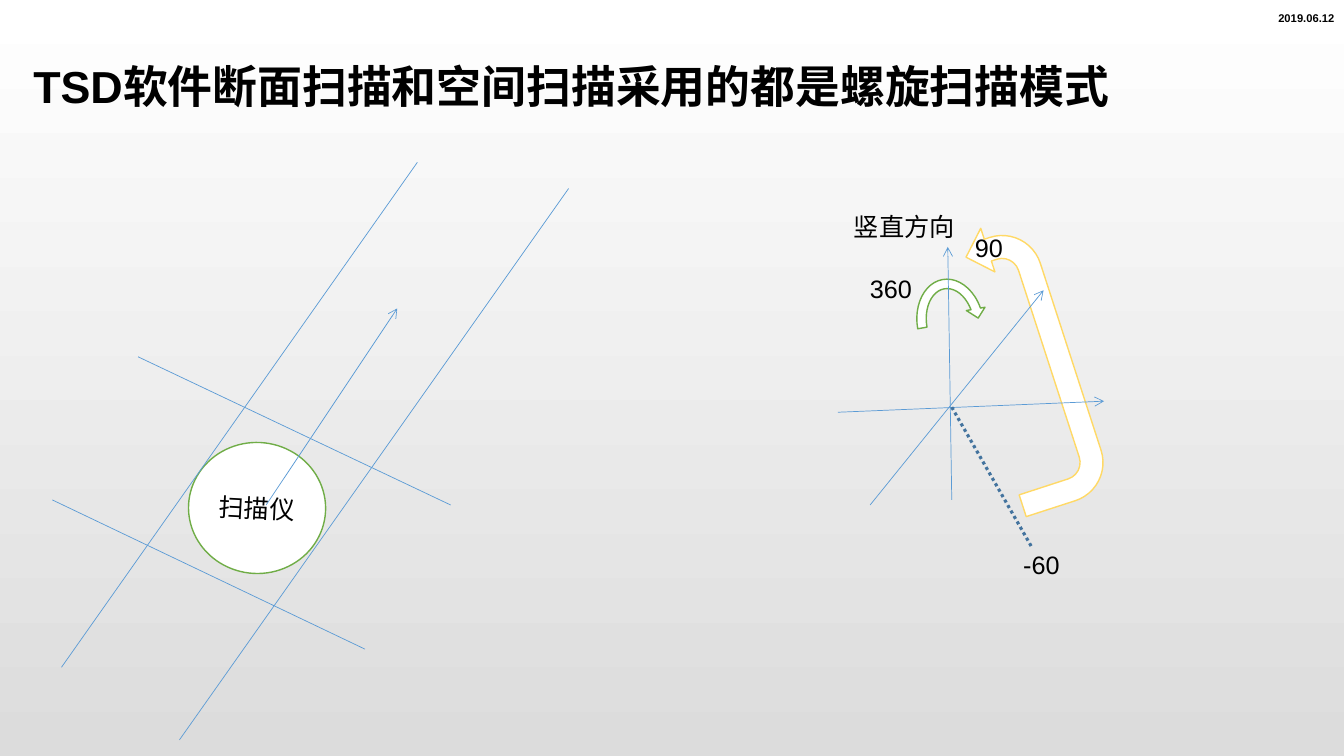
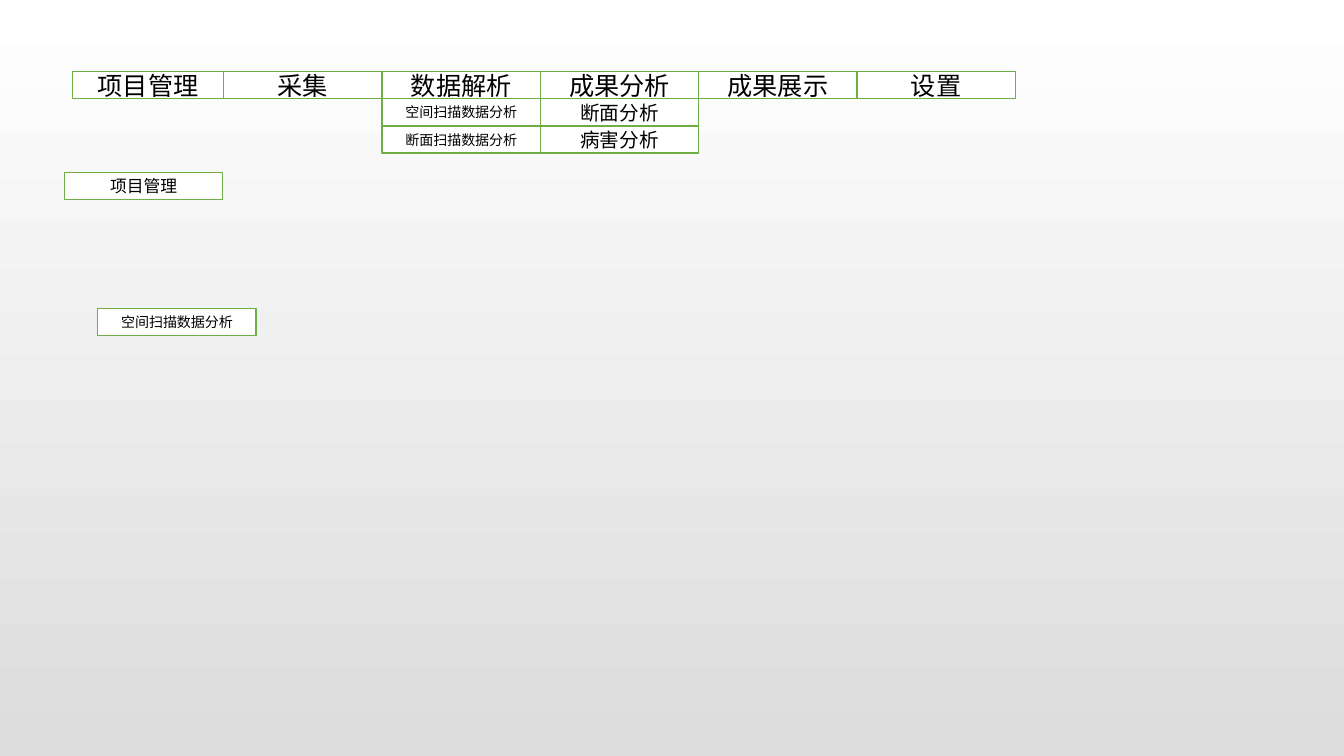
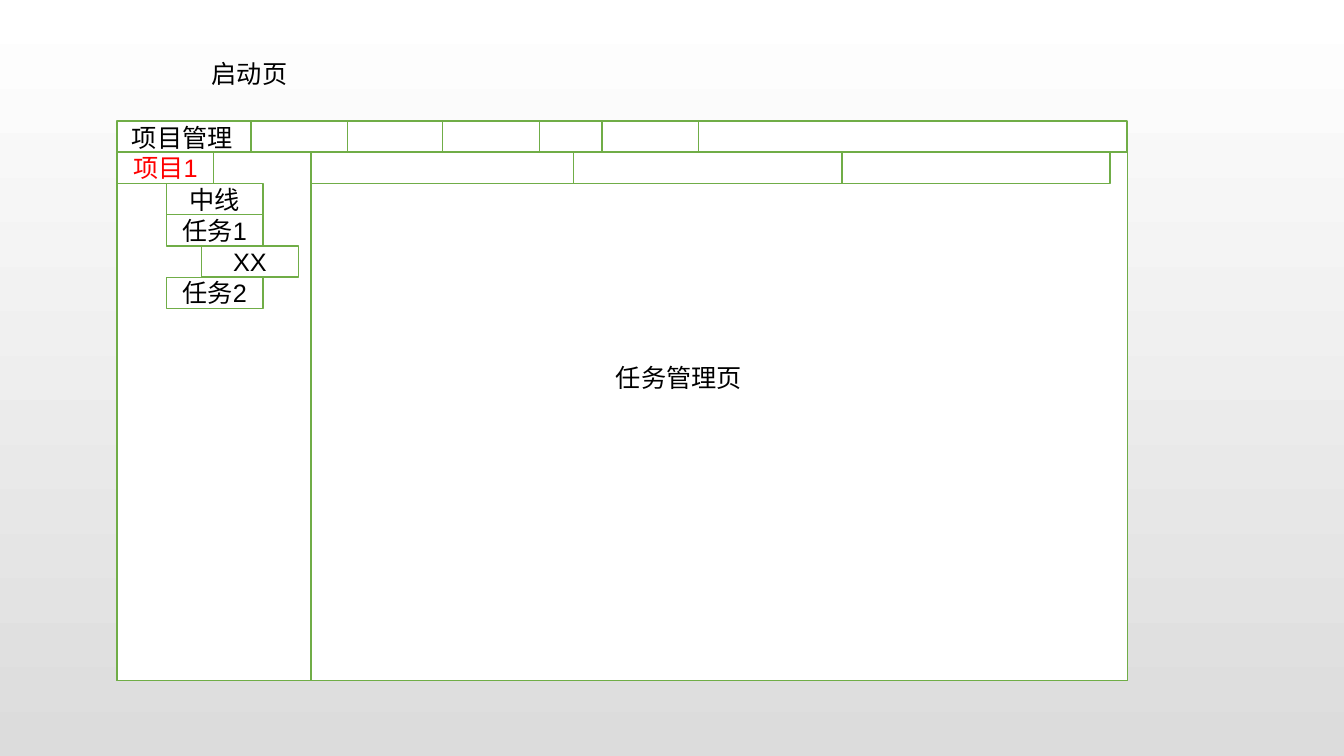
from dataclasses import dataclass

from pptx import Presentation
from pptx.dml.color import RGBColor
from pptx.enum.dml import MSO_LINE
from pptx.enum.shapes import MSO_CONNECTOR, MSO_SHAPE
from pptx.enum.text import MSO_ANCHOR, MSO_AUTO_SIZE, PP_ALIGN
from pptx.oxml.ns import qn
from pptx.util import Inches, Pt
from lxml import etree

RECT = MSO_SHAPE.RECTANGLE
OVAL = MSO_SHAPE.OVAL
UTURN = MSO_SHAPE.U_TURN_ARROW
ARC = MSO_SHAPE.CIRCULAR_ARROW
STRAIGHT = MSO_CONNECTOR.STRAIGHT
DOTS = MSO_LINE.ROUND_DOT
LEFT, CENTER = PP_ALIGN.LEFT, PP_ALIGN.CENTER
TOP, MIDDLE = MSO_ANCHOR.TOP, MSO_ANCHOR.MIDDLE
GROW, FIXED = MSO_AUTO_SIZE.SHAPE_TO_FIT_TEXT, MSO_AUTO_SIZE.NONE
TITLED, BLANK = 5, 6


@dataclass(frozen=True)
class Theme:
    font: str = "Arial"
    ink: str = "000000"
    alert: str = "FF0000"
    fill: str = "FFFFFF"
    shade: str = "DCDCDC"
    edge: str = "70AD47"
    gold: str = "FFD966"
    ray: str = "5B9BD5"
    dark: str = "43739E"
    head: int = 32
    body: int = 18
    item: int = 14
    small: int = 12
    note: int = 10
    date: int = 8


THEME = Theme()


def rgb(code):
    return RGBColor.from_string(code)


def write(frame, text, size=THEME.body, color=THEME.ink, bold=False,
          align=LEFT, anchor=TOP, wrap=True, fit=FIXED):
    frame.word_wrap = wrap
    frame.auto_size = fit
    frame.vertical_anchor = anchor
    para = frame.paragraphs[0]
    para.alignment = align
    run = para.add_run()
    run.text = text
    font = run.font
    font.name = THEME.font
    font.size = Pt(size)
    font.bold = bold
    font.color.rgb = rgb(color)


def title(slide, text, box, **style):
    holder = slide.shapes.title
    holder.left, holder.top, holder.width, holder.height = map(Inches, box)
    write(holder.text_frame, text, **style)


def label(slide, text, box, **style):
    area = slide.shapes.add_textbox(*map(Inches, box))
    write(area.text_frame, text, fit=GROW, **style)


def block(slide, box, text="", kind=RECT, edge=THEME.edge, turn=0, **style):
    """Add a white outlined shape, with centred text if any is given."""
    shape = slide.shapes.add_shape(kind, *map(Inches, box))
    shape.shadow.inherit = False
    shape.fill.solid()
    shape.fill.fore_color.rgb = rgb(THEME.fill)
    shape.line.color.rgb = rgb(edge)
    shape.line.width = Pt(1)
    shape.rotation = turn
    if text:
        write(shape.text_frame, text, align=CENTER, anchor=MIDDLE, **style)
    return shape


def line(slide, start, end, arrow=False, color=THEME.ray, width=0.5, dash=None):
    link = slide.shapes.add_connector(STRAIGHT, *map(Inches, start + end))
    link.line.color.rgb = rgb(color)
    link.line.width = Pt(width)
    if dash:
        link.line.dash_style = dash
    props = link._element.spPr
    if arrow:
        etree.SubElement(props.find(qn("a:ln")), qn("a:tailEnd"), type="arrow")
    etree.SubElement(props, qn("a:effectLst"))


def paint(master):
    """Give every slide the vertical white-to-grey background."""
    fill = master.background.fill
    fill.gradient()
    fill.gradient_angle = 270
    for stop, code, place in zip(fill.gradient_stops,
                                 (THEME.fill, THEME.shade), (0, 1)):
        stop.color.rgb = rgb(code)
        stop.position = place


def scan(slide):
    title(slide, "TSD软件断面扫描和空间扫描采用的都是螺旋扫描模式",
          (0.23, 0.53, 11.85, 0.64), size=THEME.head, bold=True)

    sweep = block(slide, (8.74, 3.17, 2.86, 0.91), kind=UTURN,
                  edge=THEME.gold, turn=72)
    sweep._element.spPr.find(qn("a:xfrm")).set("flipH", "1")
    block(slide, (9.05, 2.72, 0.75, 0.97), kind=ARC, turn=350)
    block(slide, (1.87, 4.39, 1.36, 1.3), "扫描仪", kind=OVAL, turn=3)

    walls = [
        ((4.14, 1.61), (0.61, 6.62)),
        ((5.64, 1.87), (1.78, 7.34)),
        ((1.37, 3.54), (4.47, 5.01)),
        ((0.52, 4.96), (3.62, 6.44)),
    ]
    for start, end in walls:
        line(slide, start, end)
    axes = [
        ((9.44, 4.96), (9.4, 2.45)),
        ((8.31, 4.09), (10.95, 3.98)),
        ((8.63, 5.01), (10.35, 2.88)),
        ((2.64, 5.01), (3.94, 3.06)),
    ]
    for start, end in axes:
        line(slide, start, end, arrow=True)
    line(slide, (9.44, 4.04), (10.24, 5.44), color=THEME.dark,
         width=2.25, dash=DOTS)

    marks = [
        ("360", 8.53, 2.66, 0.62),
        ("-60", 10.05, 5.4, 0.56),
        ("90", 9.57, 2.26, 0.48),
        ("竖直方向", 8.37, 2.05, 1.2),
    ]
    for text, left, top, width in marks:
        label(slide, text, (left, top, width, 0.4), wrap=False)
    label(slide, "2019.06.12", (12.58, 0.06, 0.76, 0.23),
          size=THEME.date, bold=True, wrap=False)


def menu(slide):
    left, top, width, height = 2.22, 0.71, 1.57, 0.27
    block(slide, (0.72, top, 1.5, height), "项目管理")
    columns = [
        ("采集", [], THEME.body),
        ("数据解析", ["空间扫描数据分析", "断面扫描数据分析"], THEME.note),
        ("成果分析", ["断面分析", "病害分析"], THEME.item),
        ("成果展示", [], THEME.body),
        ("设置", [], THEME.body),
    ]
    for col, (head, items, size) in enumerate(columns):
        x = left + col * width
        block(slide, (x, top, width, height), head)
        for row, item in enumerate(items, 1):
            block(slide, (x, top + row * height, width, height), item, size=size)
    block(slide, (0.64, 1.71, width, height), "项目管理", size=THEME.small)
    block(slide, (0.97, 3.06, width, height), "空间扫描数据分析", size=THEME.note)


def start(slide):
    left, top, width, height = 1.16, 1.2, 0.96, 0.31
    below = top + height
    title(slide, "启动页", (2, 0.53, 1.21, 0.4))

    block(slide, (left, top, 10.02, 5.55))
    block(slide, (left, below, 1.92, 5.24))
    for x in (2.49, 4.39, 5.97):
        block(slide, (x, top, width, height))
    block(slide, (3.09, below, 8.09, 5.24))
    for x, span in ((3.09, 2.61), (5.69, 2.66), (8.35, 2.66)):
        block(slide, (x, below, span, height))

    tree = [
        ("项目1", left, THEME.alert),
        ("中线", 1.65, THEME.ink),
        ("任务1", 1.65, THEME.ink),
        ("XX", 2, THEME.ink),
        ("任务2", 1.65, THEME.ink),
    ]
    for row, (text, x, color) in enumerate(tree):
        block(slide, (x, below + row * height, width, height), text, color=color)

    label(slide, "项目管理", (1.21, 1.16, 1.4, 0.4))
    label(slide, "任务管理页", (6.01, 3.55, 1.71, 0.4))


def main():
    deck = Presentation()
    deck.slide_width, deck.slide_height = Inches(13.33), Inches(7.5)
    paint(deck.slide_master)
    for build, layout in ((scan, TITLED), (menu, BLANK), (start, TITLED)):
        build(deck.slides.add_slide(deck.slide_layouts[layout]))
    deck.save("out.pptx")


if __name__ == "__main__":
    main()
